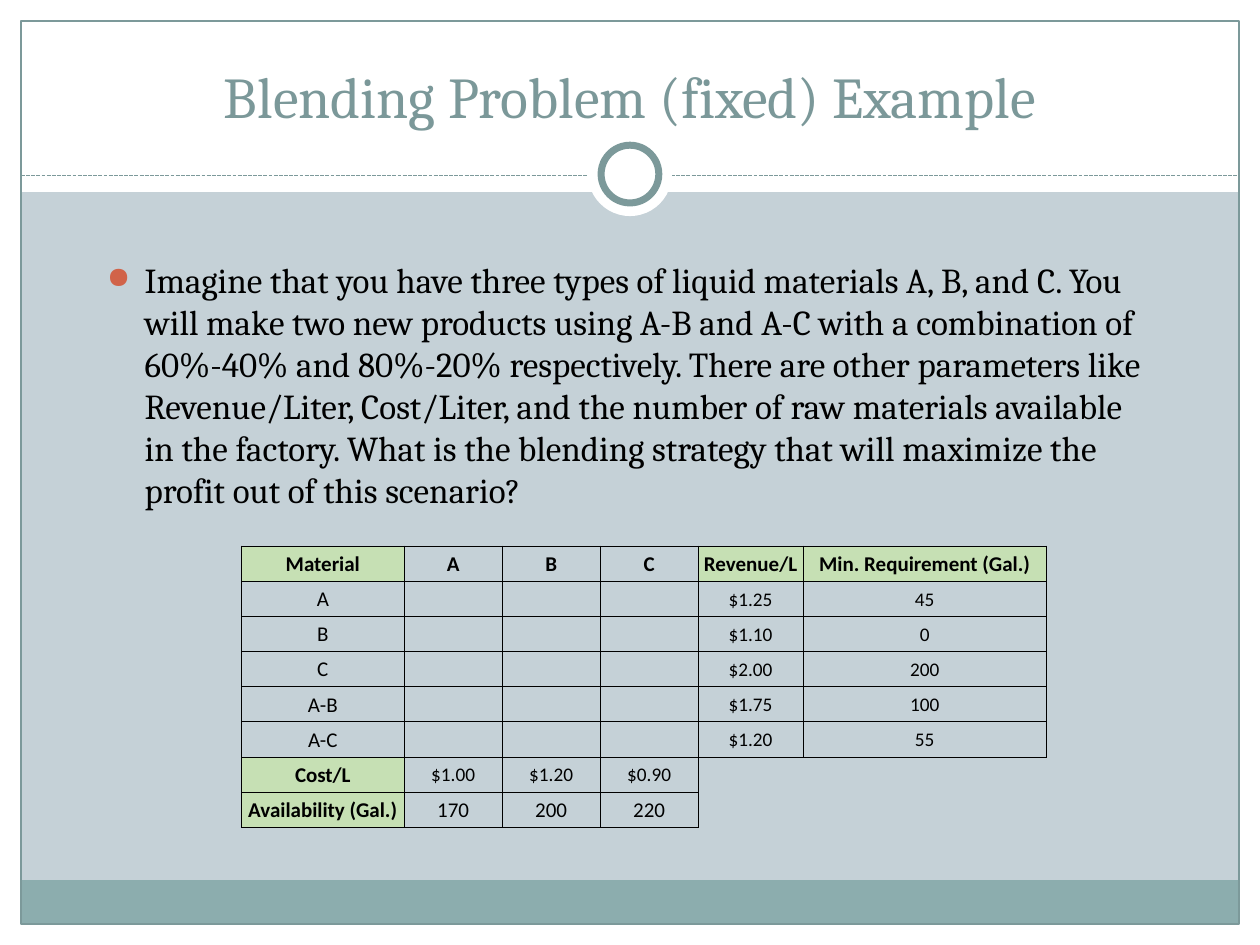
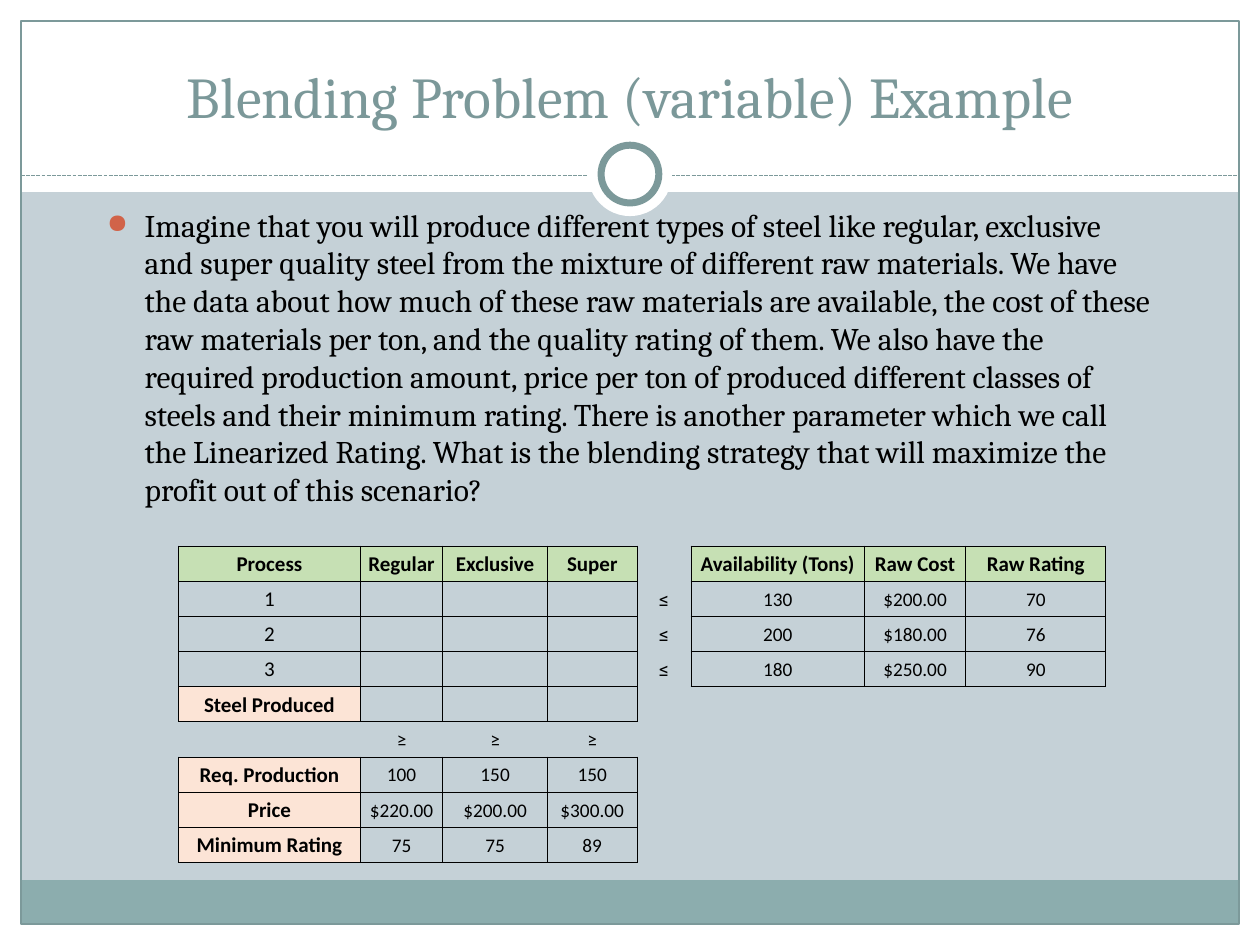
"""Build two slides that introduce a fixed and a variable blending problem."""
from dataclasses import dataclass

from lxml.etree import SubElement
from pptx import Presentation
from pptx.dml.color import RGBColor
from pptx.enum.dml import MSO_LINE
from pptx.enum.shapes import MSO_CONNECTOR, MSO_SHAPE
from pptx.enum.text import MSO_ANCHOR, PP_ALIGN
from pptx.oxml import parse_xml
from pptx.oxml.ns import nsdecls, qn
from pptx.util import Pt

COLORS = {
    "background": "C5D1D7",
    "white": "FFFFFF",
    "band": "8CADAE",
    "rule": "7C999A",
    "title": "7B9899",
    "bullet": "D16349",
    "black": "000000",
    "green": "C6E0B4",
    "peach": "FCE4D6",
}
ROW_HEIGHT = 20.1
TABLE_TOP = 312
BULLET_INDENT = 21.6


@dataclass(frozen=True)
class Decoration:
    kind: MSO_SHAPE
    left: float
    top: float
    width: float
    height: float
    fill: str | None = "white"
    line_width: float = 0


@dataclass(frozen=True)
class CellStyle:
    size: float = 11
    bold: bool = False
    fill: str | None = None
    boxed: bool = True
    font_name: str = "Calibri"


@dataclass(frozen=True)
class BlendingTable:
    left: float
    column_widths: tuple[float, ...]
    styles: tuple[str, ...]
    texts: tuple[str, ...]


@dataclass(frozen=True)
class BlendingSlide:
    title: str
    body: str
    body_top: float
    body_size: float
    table: BlendingTable


BACKDROP = (
    Decoration(MSO_SHAPE.RECTANGLE, 0, 528, 720, 12),
    Decoration(MSO_SHAPE.RECTANGLE, 0, 0, 720, 109.7),
    Decoration(MSO_SHAPE.RECTANGLE, 0, 0, 12, 540),
    Decoration(MSO_SHAPE.RECTANGLE, 708, 0, 12, 540),
    Decoration(MSO_SHAPE.RECTANGLE, 12, 503, 696, 25, "band"),
    Decoration(MSO_SHAPE.RECTANGLE, 12, 12, 696, 516, None, 0.75),
)
MEDALLION = (
    Decoration(MSO_SHAPE.OVAL, 336, 75.5, 48, 48),
    Decoration(MSO_SHAPE.OVAL, 343.5, 83, 33, 33, "white", 4),
)

CELL_STYLES = {
    "G": CellStyle(12, True, "green"),
    "P": CellStyle(12, True, "peach"),
    "H": CellStyle(12, True),
    "L": CellStyle(12),
    "v": CellStyle(),
    "<": CellStyle(boxed=False, font_name="Roboto"),
    ".": CellStyle(boxed=False),
}

SLIDES = (
    BlendingSlide(
        "Blending Problem (fixed) Example",
        "Imagine that you have three types of liquid materials A, B, and C. You will make two new "
        "products using A-B and A-C with a combination of 60%-40% and 80%-20% respectively. There "
        "are other parameters like Revenue/Liter, Cost/Liter, and the number of raw materials "
        "available in the factory. What is the blending strategy that will maximize the profit "
        "out of this scenario?",
        144, 20,
        BlendingTable(
            138, (93, 56, 56, 56, 60, 139),
            ("GHHHGG", *["Lvvvvv"] * 5, "Gvvv..", "GLLL.."),
            (
                "Material|A|B|C|Revenue/L|Min. Requirement (Gal.)",
                "A||||$1.25|45",
                "B||||$1.10|0",
                "C||||$2.00|200",
                "A-B||||$1.75|100",
                "A-C||||$1.20|55",
                "Cost/L|$1.00|$1.20|$0.90||",
                "Availability (Gal.)|170|200|220||",
            ),
        ),
    ),
    BlendingSlide(
        "Blending Problem (variable) Example",
        "Imagine that you will produce different types of steel like regular, exclusive and super "
        "quality steel from the mixture of different raw materials. We have the data about how "
        "much of these raw materials are available, the cost of these raw materials per ton, and "
        "the quality rating of them. We also have the required production amount, price per ton "
        "of produced different classes of steels and their minimum rating. There is another "
        "parameter which we call the Linearized Rating. What is the blending strategy that will "
        "maximize the profit out of this scenario?",
        114, 18,
        BlendingTable(
            102, (104, 47, 60, 51, 31, 99, 58, 80),
            ("GGGG.GGG", *["Lvvv<vvv"] * 3, "Pvvv....", "........", *["Pvvv...."] * 3),
            (
                "Process|Regular|Exclusive|Super||Availability (Tons)|Raw Cost|Raw Rating",
                "1||||≤|130|$200.00|70",
                "2||||≤|200|$180.00|76",
                "3||||≤|180|$250.00|90",
                "Steel Produced|||||||",
                "|≥|≥|≥||||",
                "Req. Production|100|150|150||||",
                "Price|$220.00|$200.00|$300.00||||",
                "Minimum Rating|75|75|89||||",
            ),
        ),
    ),
)


def rgb(name: str) -> RGBColor:
    return RGBColor.from_string(COLORS[name])


def write_text(text_frame, text: str, *, size: float, font_name: str = "Cambria",
               color: str = "black", bold: bool = False, align=PP_ALIGN.LEFT,
               bulleted: bool = False) -> None:
    paragraph = text_frame.paragraphs[0]
    paragraph.alignment = align
    if bulleted:
        add_bullet(paragraph)
    if not text:
        paragraph._p.get_or_add_endParaRPr().set("sz", str(size * 100))
        return
    run = paragraph.add_run()
    run.text = text
    run.font.size = Pt(size)
    run.font.name = font_name
    run.font.bold = bold
    run.font.color.rgb = rgb(color)


def add_bullet(paragraph) -> None:
    properties = paragraph._p.get_or_add_pPr()
    properties.set("marL", str(Pt(BULLET_INDENT)))
    properties.set("indent", str(-Pt(BULLET_INDENT)))
    bullet_color = SubElement(properties, qn("a:buClr"))
    SubElement(bullet_color, qn("a:srgbClr"), val=COLORS["bullet"])
    SubElement(properties, qn("a:buSzPct"), val="85000")
    SubElement(properties, qn("a:buChar"), char="●")


def add_decoration(slide, decoration: Decoration) -> None:
    shape = slide.shapes.add_shape(
        decoration.kind, Pt(decoration.left), Pt(decoration.top),
        Pt(decoration.width), Pt(decoration.height))
    shape.shadow.inherit = False
    if decoration.fill:
        shape.fill.solid()
        shape.fill.fore_color.rgb = rgb(decoration.fill)
    else:
        shape.fill.background()
    if decoration.line_width:
        shape.line.color.rgb = rgb("rule")
        shape.line.width = Pt(decoration.line_width)
    else:
        shape.line.fill.background()


def add_dashed_rule(slide) -> None:
    connector = slide.shapes.add_connector(
        MSO_CONNECTOR.STRAIGHT, Pt(12), Pt(100.5), Pt(708), Pt(100.5))
    connector.line.color.rgb = rgb("rule")
    connector.line.width = Pt(0.75)
    connector.line.dash_style = MSO_LINE.SQUARE_DOT
    SubElement(connector._element.spPr, qn("a:effectLst"))


def add_frame(slide) -> None:
    slide.background.fill.solid()
    slide.background.fill.fore_color.rgb = rgb("background")
    for decoration in BACKDROP:
        add_decoration(slide, decoration)
    add_dashed_rule(slide)
    for decoration in MEDALLION:
        add_decoration(slide, decoration)


def add_text_box(slide, left: float, top: float, width: float, height: float,
                 anchor=MSO_ANCHOR.TOP):
    text_frame = slide.shapes.add_textbox(Pt(left), Pt(top), Pt(width), Pt(height)).text_frame
    text_frame.word_wrap = True
    text_frame.vertical_anchor = anchor
    return text_frame


def is_boxed(styles: tuple[str, ...], row: int, column: int) -> bool:
    inside = 0 <= row < len(styles) and 0 <= column < len(styles[0])
    return inside and CELL_STYLES[styles[row][column]].boxed


def set_borders(cell, styles: tuple[str, ...], row: int, column: int) -> None:
    neighbors = {"L": (row, column - 1), "R": (row, column + 1),
                 "T": (row - 1, column), "B": (row + 1, column)}
    properties = cell._tc.get_or_add_tcPr()
    for position, (side, neighbor) in enumerate(neighbors.items()):
        visible = is_boxed(styles, row, column) or is_boxed(styles, *neighbor)
        paint = (f'<a:solidFill><a:srgbClr val="{COLORS["black"]}"/></a:solidFill>'
                 if visible else "<a:noFill/>")
        border = parse_xml(f'<a:ln{side} {nsdecls("a")} w="{Pt(0.5)}">{paint}</a:ln{side}>')
        properties.insert(position, border)


def format_cell(cell, text: str, style: CellStyle) -> None:
    cell.margin_left = cell.margin_right = cell.margin_top = Pt(0.72)
    cell.margin_bottom = 0
    cell.vertical_anchor = MSO_ANCHOR.MIDDLE
    if style.fill:
        cell.fill.solid()
        cell.fill.fore_color.rgb = rgb(style.fill)
    else:
        cell.fill.background()
    write_text(cell.text_frame, text, size=style.size, font_name=style.font_name,
               bold=style.bold, align=PP_ALIGN.CENTER)


def add_blending_table(slide, content: BlendingTable) -> None:
    row_count = len(content.texts)
    table = slide.shapes.add_table(
        row_count, len(content.column_widths), Pt(content.left), Pt(TABLE_TOP),
        Pt(sum(content.column_widths)), Pt(ROW_HEIGHT * row_count)).table
    table.first_row = table.horz_banding = False
    for column, width in zip(table.columns, content.column_widths):
        column.width = Pt(width)
    for row, line in enumerate(content.texts):
        table.rows[row].height = Pt(ROW_HEIGHT)
        for column, text in enumerate(line.split("|")):
            cell = table.cell(row, column)
            format_cell(cell, text, CELL_STYLES[content.styles[row][column]])
            set_borders(cell, content.styles, row, column)


def add_blending_slide(presentation, content: BlendingSlide) -> None:
    slide = presentation.slides.add_slide(presentation.slide_layouts[6])
    add_frame(slide)
    write_text(add_text_box(slide, 24, 18, 672, 60, MSO_ANCHOR.BOTTOM), content.title,
               size=33, color="title", align=PP_ALIGN.CENTER)
    write_text(add_text_box(slide, 54, content.body_top, 612, 318), content.body,
               size=content.body_size, bulleted=True)
    add_blending_table(slide, content.table)


def main() -> None:
    presentation = Presentation()
    presentation.slide_width = Pt(720)
    presentation.slide_height = Pt(540)
    for content in SLIDES:
        add_blending_slide(presentation, content)
    presentation.save("out.pptx")


if __name__ == "__main__":
    main()
